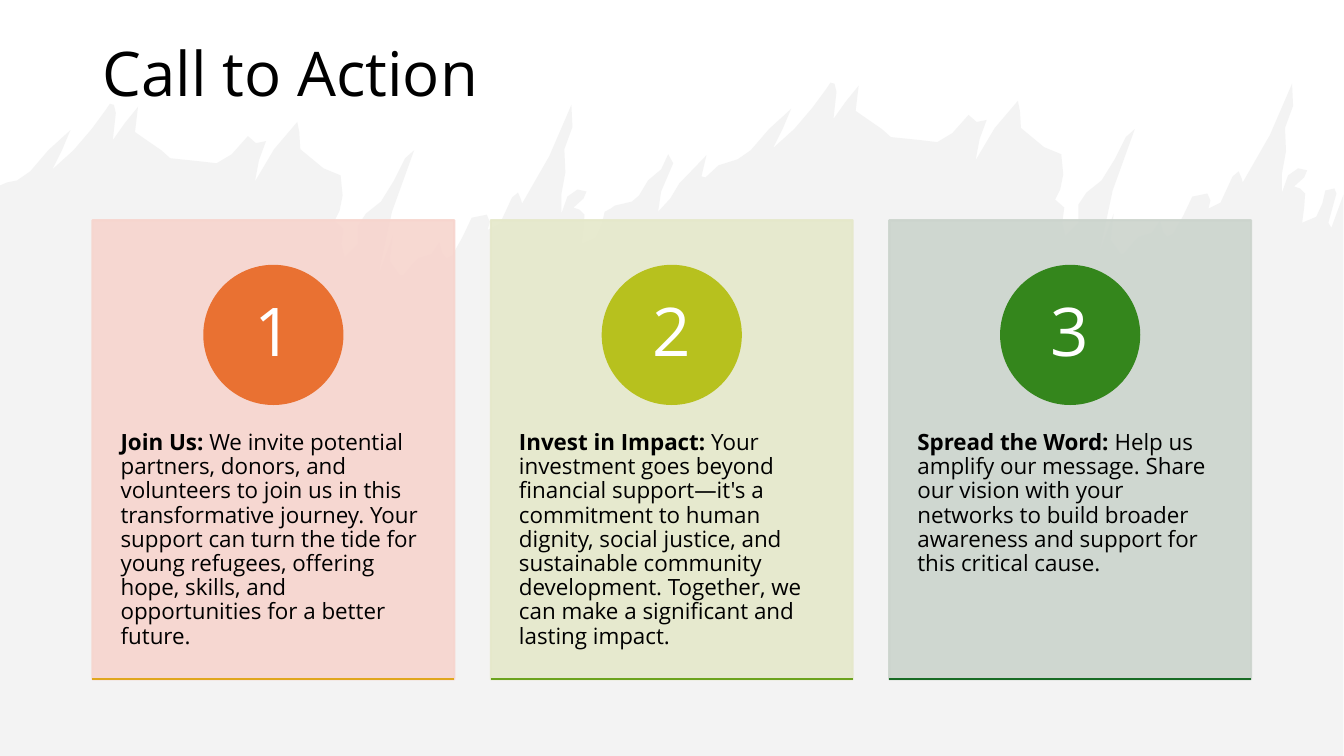
from lxml import etree
from pptx import Presentation
from pptx.dml.color import RGBColor
from pptx.enum.shapes import MSO_CONNECTOR, MSO_SHAPE
from pptx.enum.text import MSO_ANCHOR, MSO_AUTO_SIZE, PP_ALIGN
from pptx.oxml.ns import qn
from pptx.util import Cm, Pt

RECTANGLE = MSO_SHAPE.RECTANGLE
OVAL = MSO_SHAPE.OVAL
STRAIGHT = MSO_CONNECTOR.STRAIGHT
TOP, MIDDLE = MSO_ANCHOR.TOP, MSO_ANCHOR.MIDDLE
LEFT, CENTER = PP_ALIGN.LEFT, PP_ALIGN.CENTER
NO_AUTOFIT = MSO_AUTO_SIZE.NONE

COLORS = {
    "text": "000000", "number": "FFFFFF", "grass": "E8E8E8",
    "join": "F7D5CE", "join_badge": "E97132", "join_base": "E0A61D",
    "invest": "E5E8CA", "invest_badge": "B7C11E", "invest_base": "6BA31D",
    "spread": "CCD4CD", "spread_badge": "34861C", "spread_base": "196B24",
}

CARDS = [
    ("join", "Join Us: ",
     "We invite potential partners, donors, and volunteers to join us in this "
     "transformative journey. Your support can turn the tide for young refugees, "
     "offering hope, skills, and opportunities for a better future."),
    ("invest", "Invest in Impact: ",
     "Your investment goes beyond financial support—it's a commitment to human "
     "dignity, social justice, and sustainable community development. Together, "
     "we can make a significant and lasting impact."),
    ("spread", "Spread the Word: ",
     "Help us amplify our message. Share our vision with your networks to build "
     "broader awareness and support for this critical cause."),
]

SLIDE_W, SLIDE_H = 33.87, 19.05
CARD_LEFT, CARD_TOP, CARD_W, CARD_H, CARD_STEP = 2.33, 5.55, 9.12, 11.57, 10.04
BADGE_TOP, BADGE_SIZE = 6.7, 3.48
BODY_TOP, BODY_H = 9.96, 6.94

GRASS_UNIT = Cm(2.54) / 100
GRASS_SHIFT = (-715, 21)
GRASS_BLADES = [
    (745, 149), (763, 128), (785, 108), (777, 127), (767, 147), (788, 128),
    (806, 107), (820, 88), (824, 82), (828, 83), (830, 91), (827, 118),
    (839, 101), (852, 85), (849, 110), (859, 117), (875, 128), (884, 136),
    (913, 139), (930, 141), (945, 132), (961, 114), (969, 121), (979, 119),
    (972, 138), (968, 159), (987, 127), (1010, 100), (1012, 110), (1013, 127),
    (1036, 146), (1053, 153), (1055, 173), (1052, 188), (1047, 198), (1056, 206),
    (1054, 221), (1057, 234), (1070, 221), (1070, 203), (1078, 191), (1093, 179),
    (1106, 158), (1117, 136), (1126, 128), (1104, 189), (1091, 250), (1105, 212),
    (1102, 238), (1112, 252), (1115, 252), (1124, 241), (1130, 235), (1143, 231),
    (1151, 219), (1154, 230), (1158, 235), (1164, 232), (1174, 214), (1183, 195),
    (1198, 192), (1201, 199), (1199, 207), (1211, 201), (1223, 175), (1229, 170),
    (1232, 177), (1233, 181), (1260, 134), (1282, 83), (1283, 105), (1275, 127),
    (1276, 150), (1272, 172), (1272, 191), (1278, 174), (1288, 167), (1297, 169),
    (1294, 176), (1284, 185), (1290, 187), (1295, 192), (1294, 206), (1292, 221),
    (1306, 215), (1312, 202), (1315, 189),
]
GRASS_BRIDGE = [
    (606, 207), (610, 204), (627, 200), (634, 194), (643, 179), (656, 168),
    (663, 153), (668, 162), (656, 190), (653, 210), (665, 197), (674, 182),
    (701, 154), (696, 175), (700, 176), (713, 164), (732, 158),
]
GRASS_START = [(0, 750), (0, 184), (7, 181), (17, 179)]
GRASS_END = [(1324, 187), (1326, 192), (1318, 221), (1321, 226), (1333, 193), (1333, 750)]


class Deck:
    font = "Open Sans"
    line_width = Pt(1.5)

    def __init__(self):
        self.prs = Presentation()
        self.prs.slide_width, self.prs.slide_height = Cm(SLIDE_W), Cm(SLIDE_H)
        self.slide = self.prs.slides.add_slide(self.prs.slide_layouts[5])
        self.shapes = self.slide.shapes

    def color(self, name):
        return RGBColor.from_string(COLORS[name])

    def paint(self, shape, color, opacity=100, outlined=True):
        shape.shadow.inherit = False
        shape.fill.solid()
        shape.fill.fore_color.rgb = self.color(color)
        if outlined:
            shape.line.color.rgb = self.color(color)
            shape.line.width = self.line_width
        else:
            shape.line.fill.background()
        if opacity < 100:
            for srgb in shape.element.spPr.iter(qn("a:srgbClr")):
                etree.SubElement(srgb, qn("a:alpha"), val=str(opacity * 1000))

    def style(self, frame, size, color, align=LEFT, anchor=MIDDLE):
        frame.word_wrap = True
        frame.auto_size = NO_AUTOFIT
        frame.vertical_anchor = anchor
        paragraph = frame.paragraphs[0]
        paragraph.alignment = align
        paragraph.line_spacing = 0.9
        paragraph.font.name = self.font
        paragraph.font.size = Pt(size)
        paragraph.font.color.rgb = self.color(color)

    def title(self, text):
        title = self.shapes.title
        title.left, title.top, title.width, title.height = Cm(2.33), Cm(1.01), Cm(29.21), Cm(3.68)
        title.text_frame.text = text
        self.style(title.text_frame, 44, "text")

    def backdrop(self, outline):
        builder = self.shapes.build_freeform(*outline[0], scale=GRASS_UNIT)
        builder.add_line_segments(outline[1:], close=True)
        grass = builder.convert_to_shape()
        self.paint(grass, "grass", opacity=50, outlined=False)
        self.shapes.title.element.addprevious(grass.element)

    def panel(self, left, color):
        panel = self.shapes.add_shape(RECTANGLE, Cm(left), Cm(CARD_TOP), Cm(CARD_W), Cm(CARD_H))
        self.paint(panel, color, opacity=90)

    def body(self, left, lead, text):
        body = self.shapes.add_textbox(Cm(left), Cm(BODY_TOP), Cm(CARD_W), Cm(BODY_H))
        frame = body.text_frame
        frame.margin_left = frame.margin_right = Cm(0.71)
        frame.margin_top = frame.margin_bottom = Cm(0.91)
        self.style(frame, 16, "text", anchor=TOP)
        for words, bold in ((lead, True), (text, False)):
            run = frame.paragraphs[0].add_run()
            run.text = words
            run.font.bold = bold

    def badge(self, left, number, color):
        badge = self.shapes.add_shape(OVAL, Cm(left + (CARD_W - BADGE_SIZE) / 2), Cm(BADGE_TOP),
                                      Cm(BADGE_SIZE), Cm(BADGE_SIZE))
        self.paint(badge, color)
        badge.text_frame.text = str(number)
        self.style(badge.text_frame, 48, "number", CENTER)

    def baseline(self, left, color):
        bottom = Cm(CARD_TOP + CARD_H)
        base = self.shapes.add_connector(STRAIGHT, Cm(left), bottom, Cm(left + CARD_W), bottom)
        base.line.color.rgb = self.color(color)
        base.line.width = self.line_width
        etree.SubElement(base.element.spPr, qn("a:effectLst"))


def main():
    deck = Deck()
    deck.title("Call to Action\v")
    dx, dy = GRASS_SHIFT
    left_blades = [(x + dx, y + dy) for x, y in GRASS_BLADES]
    deck.backdrop(GRASS_START + left_blades + GRASS_BRIDGE + GRASS_BLADES + GRASS_END)
    for index, (theme, lead, text) in enumerate(CARDS):
        left = CARD_LEFT + index * CARD_STEP
        deck.panel(left, theme)
        deck.body(left, lead, text)
        deck.badge(left, index + 1, f"{theme}_badge")
        deck.baseline(left, f"{theme}_base")
    deck.prs.save("out.pptx")


if __name__ == "__main__":
    main()
